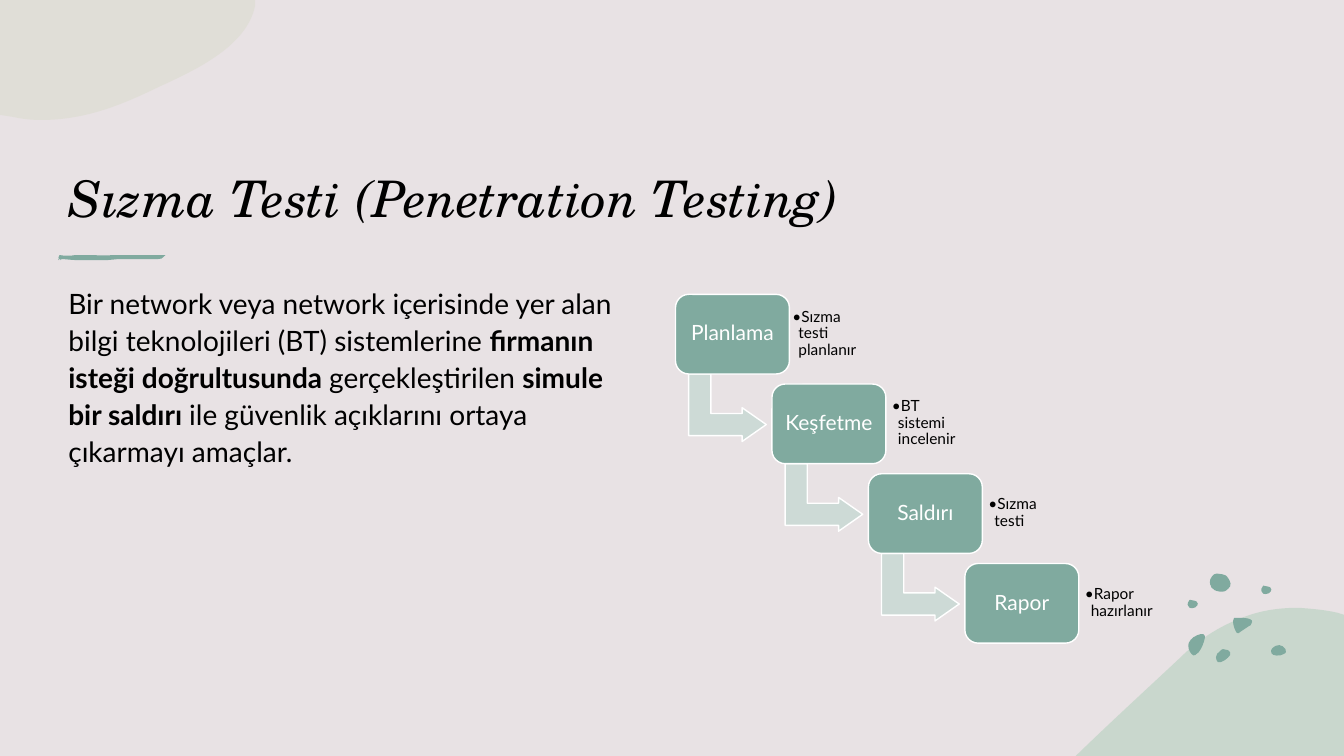
from lxml.etree import SubElement
from pptx import Presentation
from pptx.dml.color import RGBColor
from pptx.enum.shapes import MSO_SHAPE
from pptx.enum.text import MSO_ANCHOR, MSO_AUTO_SIZE, PP_ALIGN
from pptx.oxml.ns import qn
from pptx.util import Inches, Pt

BACKGROUND = RGBColor(0xE8, 0xE2, 0xE4)
TEAL = RGBColor(0x80, 0xAA, 0x9F)
PALE_TEAL = RGBColor(0xCD, 0xDA, 0xD6)
GREEN = RGBColor(0xAC, 0xCD, 0xB7)
BEIGE = RGBColor(0xD9, 0xDB, 0xCB)
BLACK = RGBColor(0x00, 0x00, 0x00)
WHITE = RGBColor(0xFF, 0xFF, 0xFF)

TITLE = "Sızma Testi (Penetration Testing)"
BODY = [
    ("Bir network veya network içerisinde yer alan bilgi teknolojileri (BT) sistemlerine ", False),
    ("firmanın isteği doğrultusunda ", True),
    ("gerçekleştirilen ", False),
    ("simule bir saldırı ", True),
    ("ile güvenlik açıklarını ortaya çıkarmayı amaçlar.", False),
]
STEPS = [
    ("Planlama", "Sızma testi planlanır"),
    ("Keşfetme", "BT sistemi incelenir"),
    ("Saldırı", "Sızma testi"),
    ("Rapor", "Rapor hazırlanır"),
]

GREEN_HILL = [
    (12.88, 6.03), (13.01, 6.04, 13.14, 6.05, 13.27, 6.08), (13.33, 6.1), (13.33, 7.5),
    (10.67, 7.5), (10.68, 7.49), (11.02, 7.16, 11.37, 6.84, 11.69, 6.54),
    (11.91, 6.32, 12.14, 6.19, 12.37, 6.11), (12.54, 6.05, 12.71, 6.03, 12.88, 6.03),
]
BEIGE_CORNER = [
    (0, 0), (2.53, 0), (2.53, 0.06), (2.45, 0.44, 2, 0.67, 1.58, 0.86),
    (1.23, 1.03, 0.86, 1.19, 0.41, 1.19), (0.31, 1.19, 0.22, 1.18, 0.13, 1.16), (0, 1.14),
]
PEBBLES = [
    [(12.13, 6.44), (12.15, 6.44, 12.16, 6.44, 12.18, 6.45), (12.2, 6.46, 12.21, 6.48, 12.2, 6.5),
     (12.18, 6.53, 12.12, 6.58, 12.08, 6.57), (12.07, 6.56, 12.06, 6.54, 12.06, 6.52),
     (12.06, 6.5, 12.08, 6.47, 12.1, 6.46), (12.11, 6.45, 12.12, 6.44, 12.13, 6.44)],
    [(11.91, 6.29), (11.93, 6.29, 11.95, 6.29, 11.95, 6.31), (11.95, 6.33),
     (11.94, 6.38, 11.92, 6.43, 11.89, 6.47), (11.87, 6.49, 11.84, 6.52, 11.82, 6.49),
     (11.79, 6.46, 11.78, 6.41, 11.79, 6.38), (11.8, 6.35, 11.82, 6.34, 11.84, 6.32),
     (11.85, 6.32, 11.88, 6.29, 11.91, 6.29)],
    [(12.69, 6.4), (12.71, 6.4, 12.74, 6.42, 12.75, 6.44), (12.76, 6.46, 12.76, 6.48, 12.73, 6.49),
     (12.7, 6.51, 12.62, 6.51, 12.61, 6.48), (12.6, 6.46, 12.61, 6.44, 12.62, 6.43),
     (12.64, 6.41, 12.66, 6.4, 12.69, 6.4)],
    [(12.01, 5.81), (12, 5.81, 11.99, 5.75, 12.02, 5.72), (12.04, 5.7, 12.04, 5.69, 12.07, 5.69),
     (12.1, 5.69, 12.14, 5.7, 12.16, 5.71), (12.18, 5.73, 12.22, 5.78, 12.2, 5.82),
     (12.17, 5.85, 12.16, 5.87, 12.12, 5.87), (12.09, 5.87, 12.04, 5.86, 12.03, 5.84),
     (12.01, 5.83, 12.01, 5.82, 12.01, 5.81)],
    [(12.28, 6.13), (12.34, 6.13, 12.45, 6.13, 12.41, 6.19), (12.41, 6.2, 12.4, 6.21, 12.39, 6.21),
     (12.36, 6.23, 12.33, 6.25, 12.3, 6.27), (12.29, 6.28, 12.28, 6.29, 12.27, 6.28),
     (12.26, 6.27), (12.24, 6.23, 12.23, 6.2, 12.23, 6.16),
     (12.23, 6.15, 12.23, 6.14, 12.24, 6.13)],
]
SMALL_PEBBLE = [
    (0, 0.05), (0, 0.05, 0, 0.01, 0.02, 0), (0.04, 0, 0.05, 0, 0.07, 0.01),
    (0.08, 0.01, 0.1, 0.02, 0.1, 0.04), (0.1, 0.05, 0.09, 0.07, 0.08, 0.07),
    (0.08, 0.07, 0.08, 0.08, 0.06, 0.08), (0.05, 0.08, 0.03, 0.09, 0.02, 0.08),
    (0.01, 0.06, 0, 0.06, 0, 0.05),
]
SMALL_PEBBLE_PLACES = [(12.51, 5.81), (11.78, 5.95)]
UNDERLINE = [
    (0.59, 2.53), (0.64, 2.54, 0.7, 2.54, 0.75, 2.53), (0.88, 2.53),
    (0.94, 2.53, 1.06, 2.54, 1.11, 2.53), (1.64, 2.53),
    (1.61, 2.54, 1.63, 2.57, 1.57, 2.57), (1.18, 2.57), (1.07, 2.58), (0.75, 2.58),
    (0.71, 2.58, 0.65, 2.57, 0.6, 2.57), (0.57, 2.58, 0.58, 2.54, 0.59, 2.53),
]
SPECK = [(0, 0), (0.01, 0), (0, 0.01)]
SPECK_PLACES = [(0.58, 2.57), (0.6, 2.57), (1.63, 2.53)]

STEP_LEFT, STEP_TOP, STEP_WIDTH, STEP_HEIGHT = 6.7, 2.92, 1.13, 0.79
LAST_STEP_LEFT, STEP_DOWNWARD = 9.57, 0.89
STEP_RIGHTWARD = (LAST_STEP_LEFT - STEP_LEFT) / (len(STEPS) - 1)


def paint(shape, color, line=None):
    shape.shadow.inherit = False
    shape.fill.solid()
    shape.fill.fore_color.rgb = color
    if line is None:
        shape.line.fill.background()
    else:
        shape.line.color.rgb = line
        shape.line.width = Pt(1)


def bend(shape, outline):
    lines = iter(list(shape._element.iter(qn("a:lnTo"))))
    for segment in outline[1:]:
        first = next(lines)
        if len(segment) == 6:
            first.tag = qn("a:cubicBezTo")
            for line in (next(lines), next(lines)):
                first.append(line[0])
                line.getparent().remove(line)


def add_outline(page, outline, color, left=0, top=0, alpha=None):
    points = [(Inches(left + segment[at]), Inches(top + segment[at + 1]))
              for segment in outline for at in range(0, len(segment), 2)]
    builder = page.shapes.build_freeform(*points[0], scale=1.0)
    builder.add_line_segments(points[1:], close=True)
    shape = builder.convert_to_shape()
    bend(shape, outline)
    paint(shape, color)
    if alpha is not None:
        fill_color = shape._element.spPr.find(qn("a:solidFill"))[0]
        SubElement(fill_color, qn("a:alpha"), val=str(alpha * 1000))


def write(box, spans, size, color=BLACK, font="Lato", italic=None, align=PP_ALIGN.LEFT,
          anchor=MSO_ANCHOR.TOP, inset=None, spacing=1.0, before=0, bullet=False):
    frame = box.text_frame
    frame.word_wrap = True
    frame.auto_size = MSO_AUTO_SIZE.NONE
    frame.vertical_anchor = anchor
    if inset is not None:
        frame.margin_left = frame.margin_right = Inches(inset)
        frame.margin_top = frame.margin_bottom = Inches(inset)
    para = frame.paragraphs[0]
    para.alignment = align
    para.line_spacing = spacing
    para.space_before = Pt(before)
    for text, bold in spans:
        span = para.add_run()
        span.text = text
        span.font.name = font
        span.font.size = Pt(size)
        span.font.bold = bold
        span.font.italic = italic
        span.font.color.rgb = color
    if bullet:
        para.level = 1
        properties = para._p.get_or_add_pPr()
        properties.set("marL", str(Inches(0.06)))
        properties.set("indent", str(-Inches(0.06)))
        SubElement(properties, qn("a:buFont"), typeface=font)
        SubElement(properties, qn("a:buChar"), char="•")


def add_step(page, index, name, detail):
    left = STEP_LEFT + index * STEP_RIGHTWARD
    top = STEP_TOP + index * STEP_DOWNWARD
    if index < len(STEPS) - 1:
        arrow = page.shapes.add_shape(MSO_SHAPE.BENT_UP_ARROW, Inches(left + 0.18),
                                      Inches(top + 0.74), Inches(0.67), Inches(0.77))
        arrow.rotation = 90
        for position, value in enumerate((0.328, 0.25, 0.358)):
            arrow.adjustments[position] = value
        paint(arrow, PALE_TEAL, WHITE)
    box = page.shapes.add_shape(MSO_SHAPE.ROUNDED_RECTANGLE, Inches(left), Inches(top),
                                Inches(STEP_WIDTH), Inches(STEP_HEIGHT))
    paint(box, TEAL, WHITE)
    write(box, [(name, False)], 15, color=WHITE, align=PP_ALIGN.CENTER,
          anchor=MSO_ANCHOR.MIDDLE, inset=0.06, spacing=0.9)
    detail_offset, detail_width = (1.1, 0.9) if index == 0 else (1.13, 0.82)
    caption = page.shapes.add_textbox(Inches(left + detail_offset), Inches(top + 0.07),
                                      Inches(detail_width), Inches(0.64))
    write(caption, [(detail, False)], 11, anchor=MSO_ANCHOR.MIDDLE, inset=0.06,
          spacing=0.9, bullet=True)


def main():
    deck = Presentation()
    deck.slide_width, deck.slide_height = Inches(13.33), Inches(7.5)
    page = deck.slides.add_slide(deck.slide_layouts[5])
    page.background.fill.solid()
    page.background.fill.fore_color.rgb = BACKGROUND

    add_outline(page, GREEN_HILL, GREEN, alpha=50)
    add_outline(page, BEIGE_CORNER, BEIGE, alpha=50)
    for outline in PEBBLES + [UNDERLINE]:
        add_outline(page, outline, TEAL)
    for outline, places in ((SMALL_PEBBLE, SMALL_PEBBLE_PLACES), (SPECK, SPECK_PLACES)):
        for left, top in places:
            add_outline(page, outline, TEAL, left, top)

    title = page.shapes.title
    title.left, title.top = Inches(0.58), Inches(0.86)
    title.width, title.height = Inches(11.02), Inches(1.45)
    write(title, [(TITLE, False)], 36, font="TeX Gyre Schola", italic=True,
          anchor=MSO_ANCHOR.BOTTOM)
    body = page.shapes.add_textbox(Inches(0.58), Inches(2.76), Inches(5.6), Inches(2.36))
    write(body, BODY, 20, spacing=1.1, before=10)
    for index, (name, detail) in enumerate(STEPS):
        add_step(page, index, name, detail)
    deck.save("out.pptx")


if __name__ == "__main__":
    main()
